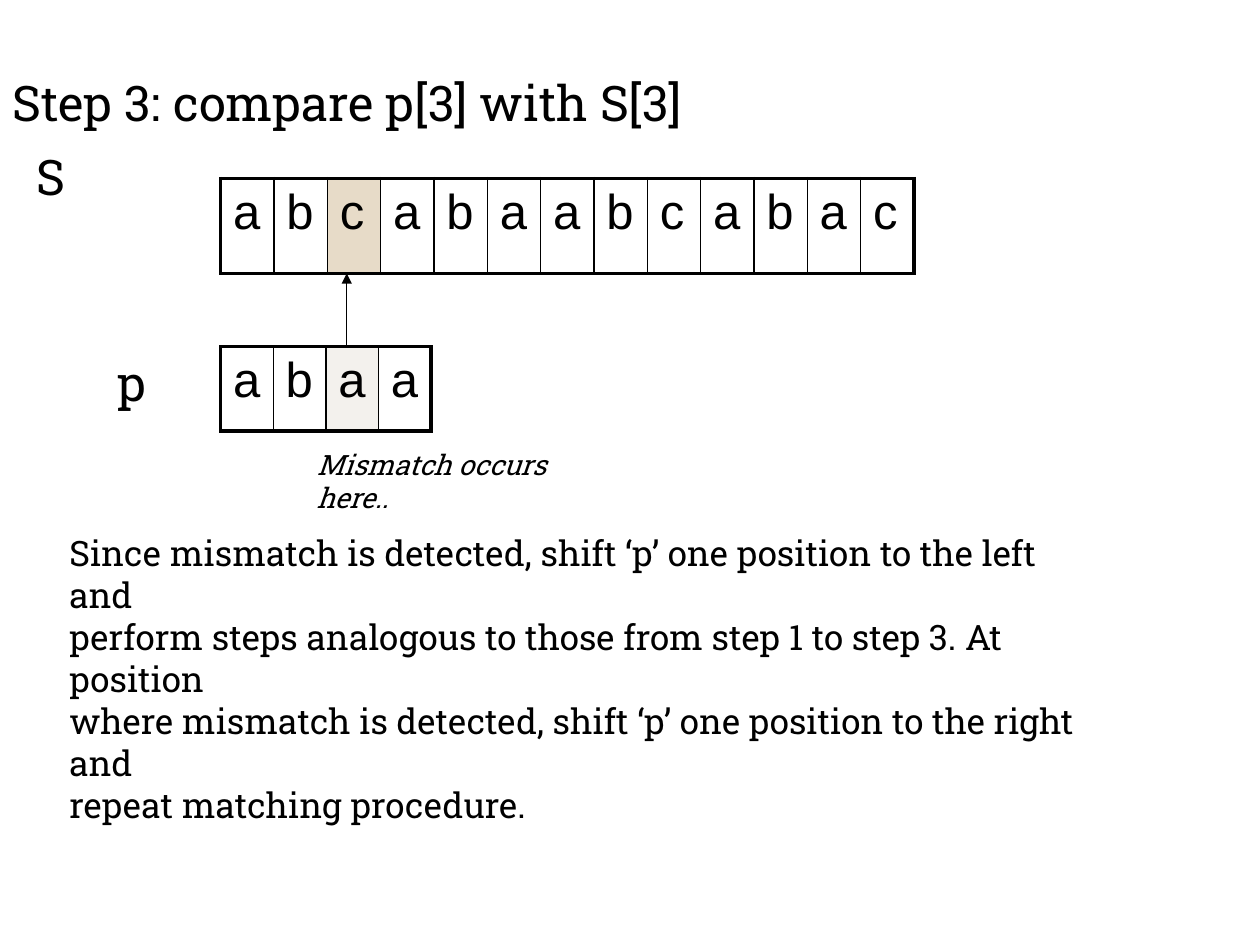
from lxml import etree
from pptx import Presentation
from pptx import util as u
from pptx.dml.color import RGBColor
from pptx.enum import shapes, text
from pptx.oxml import ns

HUES = {"ink": "000000", "tan": "D1B893", "grey": "E9E5DC"}
THICK, THIN = 2.25, 1


def add(node, tag, **attrs):
    return etree.SubElement(node, ns.qn(tag), attrs)


class Deck:
    serif, sans = "Roboto Slab", "Arial"

    def __init__(self, wide, high):
        self.prs = Presentation()
        self.prs.slide_width, self.prs.slide_height = u.Cm(wide), u.Cm(high)
        self.slide = self.prs.slides.add_slide(self.prs.slide_layouts[6])

    def hue(self, name):
        return RGBColor.from_string(HUES[name])

    def run(self, para, words, size, face, slant=False):
        font_run = para.add_run()
        font_run.text = words
        font = font_run.font
        font.size, font.name, font.italic = u.Pt(size), face, slant
        font.color.rgb = self.hue("ink")

    def label(self, box, lines, size, slant=False, spacing=None):
        frame = self.slide.shapes.add_textbox(*map(u.Cm, box)).text_frame
        frame.word_wrap = True
        frame.vertical_anchor = text.MSO_ANCHOR.TOP
        for i, line in enumerate(lines):
            para = frame.add_paragraph() if i else frame.paragraphs[0]
            para.line_spacing = spacing
            self.run(para, line, size, self.serif, slant)
        return frame

    def edge(self, props, side, width):
        line = add(props, f"a:ln{side}", w=str(u.Pt(width)))
        add(add(line, "a:solidFill"), "a:srgbClr", val=HUES["ink"])

    def strip(self, left, top, step, high, word, mark, tint):
        """Draw one letter per cell and tint the cell numbered mark at half strength."""
        last = len(word) - 1
        table = self.slide.shapes.add_table(
            1, len(word), u.Cm(left), u.Cm(top), u.Cm(step * len(word)), u.Cm(high)).table
        table.first_row = table.horz_banding = False
        table.rows[0].height = u.Cm(high)
        for i, char in enumerate(word):
            table.columns[i].width = u.Cm(step)
            cell = table.cell(0, i)
            cell.margin_left, cell.margin_right = u.Cm(0.25), 0
            self.run(cell.text_frame.paragraphs[0], char, 28, self.sans)
            props = cell._tc.get_or_add_tcPr()
            widths = {"L": THIN if i else THICK, "R": THIN if i < last else THICK,
                      "T": THICK, "B": THICK}
            for side, width in widths.items():
                self.edge(props, side, width)
            if i == mark:
                cell.fill.solid()
                cell.fill.fore_color.rgb = self.hue(tint)
                shade = props.find(ns.qn("a:solidFill")).find(ns.qn("a:srgbClr"))
                add(shade, "a:alpha", val="50000")
            else:
                cell.fill.background()

    def arrow(self, x, start, end):
        link = self.slide.shapes.add_connector(
            shapes.MSO_CONNECTOR.STRAIGHT, u.Cm(x), u.Cm(start), u.Cm(x), u.Cm(end))
        link.line.width = u.Pt(0.75)
        link.line.color.rgb = self.hue("ink")
        add(link.line._get_or_add_ln(), "a:tailEnd", type="triangle")
        add(link._element.spPr, "a:effectLst")


def main():
    deck = Deck(25.4, 19.05)
    left, top, high, base = 4.45, 3.6, 1.91, 6.99

    head = deck.label((0, 1.47, 22.86, 15.54), ["Step 3: compare p[3] with S[3]", "S"],
                      28, spacing=0.9)
    name = head.paragraphs[1]
    name.space_before = u.Pt(12)
    name._p.get_or_add_pPr().set("marL", str(u.Cm(0.48)))

    deck.strip(left, base, 1.06, 1.7, "abaa", 2, "grey")
    deck.label((2.12, base, 1.06, 1.44), ["p"], 28)
    deck.label((6.14, 8.89, 6.35, 0.94), ["Mismatch occurs here.."], 16, slant=True)
    deck.label((1.15, 10.58, 21.43, 3.64), [
        "Since mismatch is detected, shift ‘p’ one position to the left and",
        "perform steps analogous to those from step 1 to step 3. At position",
        "where mismatch is detected, shift ‘p’ one position to the right and",
        "repeat matching procedure."], 20)
    deck.strip(left, top, 1.075, high, "abcabaabcabac", 2, "tan")
    deck.arrow(base, base, top + high)
    deck.prs.save("out.pptx")


if __name__ == "__main__":
    main()
